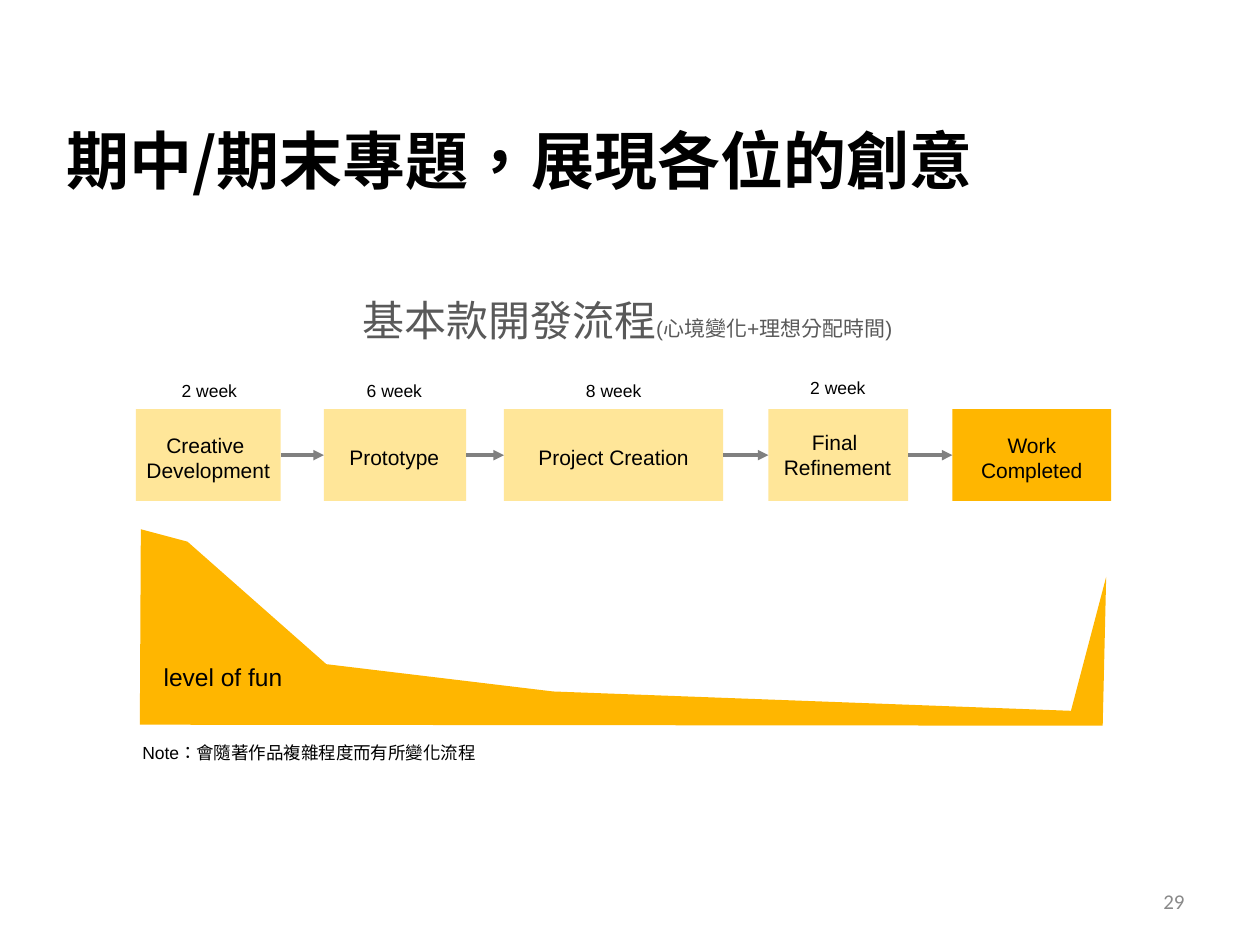
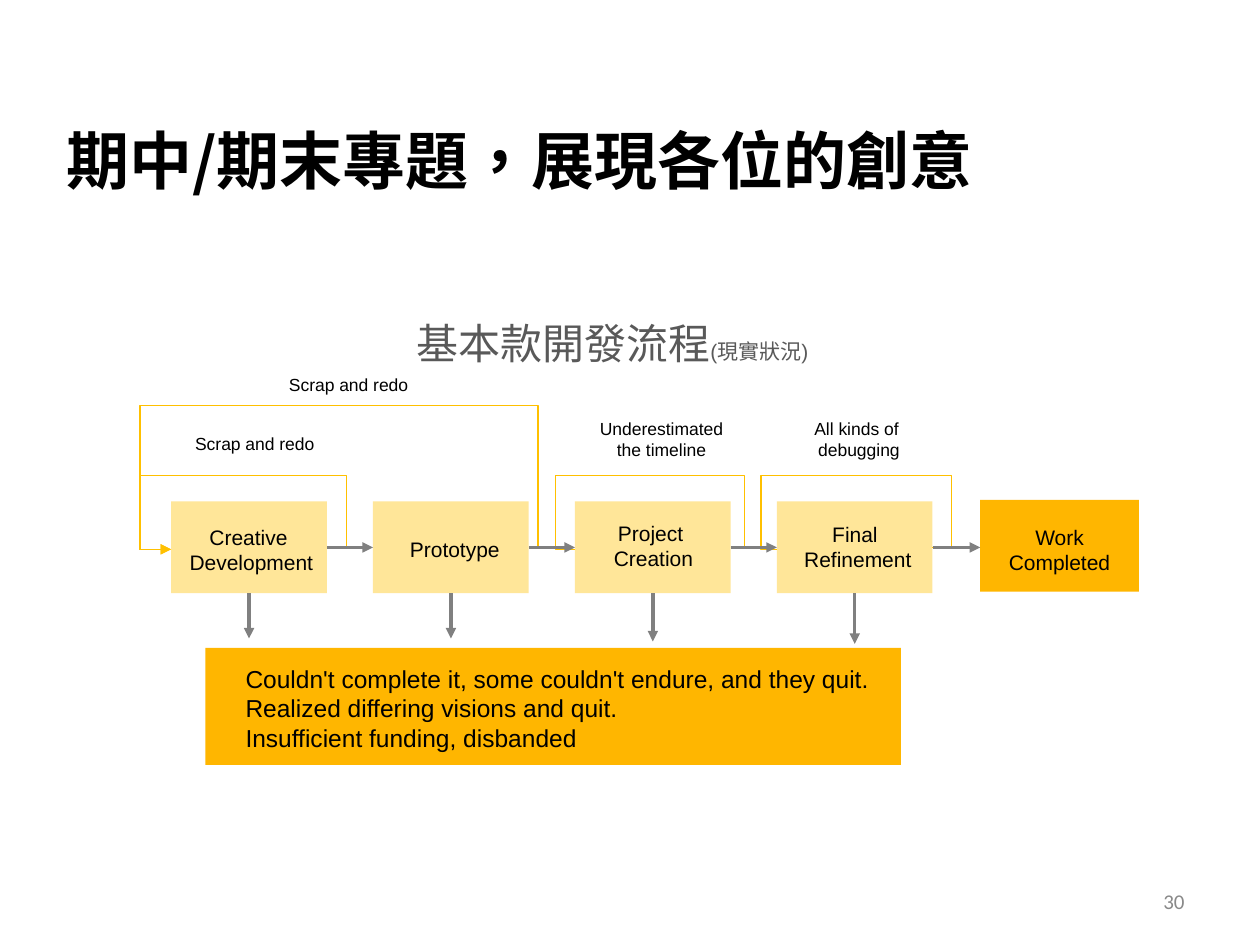
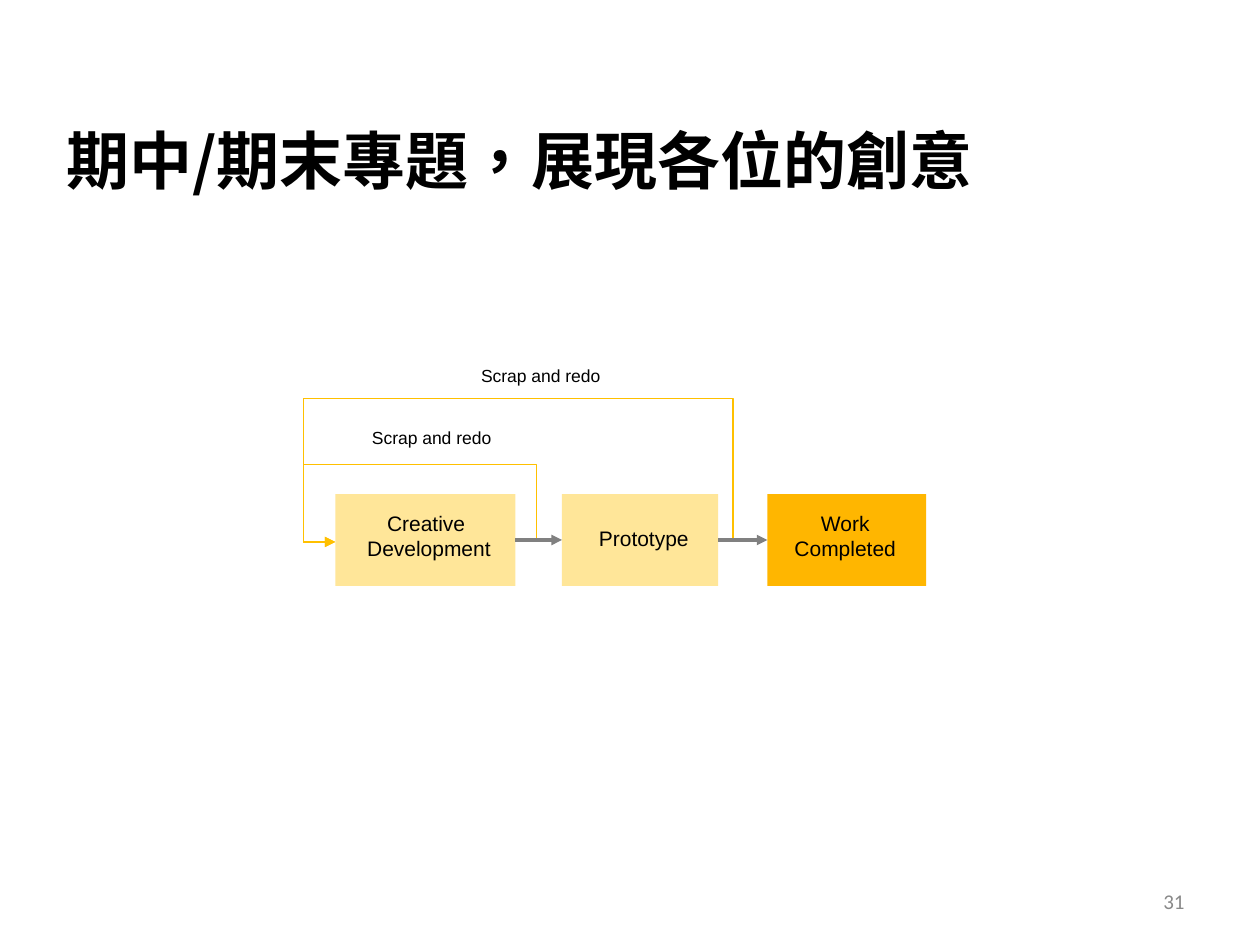
from lxml import etree
from pptx import Presentation
from pptx.dml.color import RGBColor
from pptx.enum.shapes import MSO_CONNECTOR, MSO_SHAPE
from pptx.enum.text import MSO_ANCHOR, PP_ALIGN
from pptx.oxml.ns import qn
from pptx.util import Cm, Pt

STRAIGHT, ELBOW = MSO_CONNECTOR.STRAIGHT, MSO_CONNECTOR.ELBOW
RECT = MSO_SHAPE.RECTANGLE
LEFT, CENTER, RIGHT = PP_ALIGN.LEFT, PP_ALIGN.CENTER, PP_ALIGN.RIGHT
TOP, MIDDLE = MSO_ANCHOR.TOP, MSO_ANCHOR.MIDDLE

BLACK, GREY, PAGE_GREY, ARROW_GREY = "000000", "595959", "898989", "808080"
STEP_FILL, DONE_FILL, LOOP_GOLD = "FFE699", "FFB600", "FFC000"
CJK_FONT = "Noto Sans CJK SC"
STEP_H, LOOP_DROP = 1.85, 0.04

TITLE = "期中/期末專題，展現各位的創意"
SUBTITLE = "基本款開發流程"
DONE = "Work Completed"
LABEL_WIDTHS = {
    "Creative \nDevelopment": 3.02,
    "Prototype": 2.34,
    "Project Creation": 3.56,
    "Project \nCreation": 2.11,
    "Final \nRefinement": 2.69,
    DONE: 3.0,
}
CREATIVE, PROTOTYPE, PROJECT, PROJECT_2, FINAL, _ = LABEL_WIDTHS

# steps: label, left, top, width, label left, label top
IDEAL_TOP, REAL_TOP, SHORT_TOP = 8.25, 10.11, 9.96
IDEAL_STEPS = [
    (CREATIVE, 2.74, IDEAL_TOP, 2.92, 2.69, 8.59),
    (PROTOTYPE, 6.53, IDEAL_TOP, 2.87, 6.78, 8.84),
    (PROJECT, 10.16, IDEAL_TOP, 4.42, 10.59, 8.84),
    (FINAL, 15.49, IDEAL_TOP, 2.82, 15.54, 8.53),
    (DONE, 19.2, IDEAL_TOP, 3.2, 19.3, 8.59),
]
WEEKS = [("2 week", 3.05, 7.54, 2.34, 0.69), ("6 week", 6.78, 7.54, 2.34, 0.69),
         ("8 week", 11.2, 7.54, 2.34, 0.69), ("2 week", 15.72, 7.47, 2.34, 1.12)]
FUN_CURVE = [(2.84, 10.67), (2.82, 14.61), (22.23, 14.63), (22.3, 11.63),
             (21.59, 14.33), (11.15, 13.94), (6.58, 13.39), (3.78, 10.92)]

REAL_LABELS = [(CREATIVE, 3.56, 10.44), (PROTOTYPE, 8.0, 10.69),
               (PROJECT_2, 12.12, 10.36), (FINAL, 15.95, 10.39)]
REAL_STEPS = [(label, 3.45 + 4.07 * i, REAL_TOP, 3.14, x, y)
              for i, (label, x, y) in enumerate(REAL_LABELS)]
REAL_STEPS.append((DONE, 19.76, 10.08, 3.2, 19.86, 10.44))
REAL_LOOPS = [(0, 0, 6.99, 9.58, 2.82), (1, 0, 10.85, 8.18, 2.82),
              (2, 2, 15.01, 9.58, 11.2), (3, 3, 19.18, 9.58, 15.34)]
REAL_NOTES = [("Scrap and redo", 3.56, 8.61, 3.15, 0.69),
              ("Scrap and redo ", 5.41, 7.42, 3.33, 0.69),
              ("Underestimated the timeline", 11.76, 8.31, 3.15, 1.12),
              ("All kinds of \ndebugging", 15.65, 8.31, 3.33, 1.12)]
QUIT_ARROW_LENGTHS = [0.91, 0.91, 0.97, 1.02]
QUIT_REASONS = ("Couldn't complete it, some couldn't endure, and they quit.\n"
                "Realized differing visions and quit.\n"
                "Insufficient funding, disbanded")

SHORT_STEPS = [
    (CREATIVE, 6.76, SHORT_TOP, 3.63, 7.14, 10.16),
    (PROTOTYPE, 11.33, SHORT_TOP, 3.15, 11.81, 10.46),
    (DONE, 15.47, SHORT_TOP, 3.2, 15.54, 10.16),
]
SHORT_LOOPS = [(0, 0, 10.82, 9.37, 6.12), (1, 0, 14.78, 8.03, 6.12)]
SHORT_NOTES = [("Scrap and redo", 7.06, 8.48, 3.28, 0.69),
               ("Scrap and redo", 9.25, 7.24, 3.3, 0.69)]


def rgb(value):
    return RGBColor.from_string(value)


def add_run(p, text, size=None):
    r = p.add_run()
    r.text = text
    if size:
        r.font.size = Pt(size)
    rPr = r._r.get_or_add_rPr()
    rPr.set("lang", "zh-TW")
    etree.SubElement(rPr, qn("a:ea")).set("typeface", CJK_FONT)


def add_text(s, text, x, y, w, h, size, color=BLACK, align=LEFT, font="Arial",
             bold=False, spacing=None, wrap=True, anchor=TOP, suffix=None):
    tf = s.shapes.add_textbox(Cm(x), Cm(y), Cm(w), Cm(h)).text_frame
    tf.word_wrap = wrap
    tf.vertical_anchor = anchor
    for i, line in enumerate(text.split("\n")):
        p = tf.add_paragraph() if i else tf.paragraphs[0]
        p.alignment = align
        p.line_spacing = spacing
        p.font.name, p.font.size, p.font.bold = font, Pt(size), bold
        p.font.color.rgb = rgb(color)
        add_run(p, line)
        if suffix:
            add_run(p, suffix, 12)


def paint(sp, fill):
    sp.shadow.inherit = False
    sp.fill.solid()
    sp.fill.fore_color.rgb = rgb(fill)
    sp.line.fill.background()


def add_box(s, x, y, w, h, fill):
    paint(s.shapes.add_shape(RECT, Cm(x), Cm(y), Cm(w), Cm(h)), fill)


def add_line(s, kind, x1, y1, x2, y2, color, width, arrow=True):
    c = s.shapes.add_connector(kind, Cm(x1), Cm(y1), Cm(x2), Cm(y2))
    c.line.color.rgb = rgb(color)
    c.line.width = Pt(width)
    if arrow:
        etree.SubElement(c.line._get_or_add_ln(), qn("a:tailEnd")).set("type", "triangle")
    etree.SubElement(c._element.spPr, qn("a:effectLst"))
    return c


def add_arrow(s, x1, y1, x2, y2):
    add_line(s, STRAIGHT, x1, y1, x2, y2, ARROW_GREY, 2)


def add_loop(s, steps, source, target, out_x, peak_y, back_x):
    _, left, top, width, *_ = steps[source]
    start, y, end = left + width, top + STEP_H / 2, steps[target][1]
    c = add_line(s, ELBOW, start, y, end, y + LOOP_DROP, LOOP_GOLD, 0.75, target == 0)
    geom = c._element.spPr.find(qn("a:prstGeom"))
    geom.set("prst", "bentConnector5")
    guides = geom.find(qn("a:avLst"))
    if guides is None:
        guides = etree.SubElement(geom, qn("a:avLst"))
    span = start - end
    ratios = ((start - out_x) / span, (peak_y - y) / LOOP_DROP, (start - back_x) / span)
    for i, ratio in enumerate(ratios, 1):
        gd = etree.SubElement(guides, qn("a:gd"))
        gd.set("name", f"adj{i}")
        gd.set("fmla", f"val {round(ratio * 100000)}")


def add_flow(s, steps, loops=(), notes=()):
    for label, x, y, w, label_x, label_y in steps:
        add_box(s, x, y, w, STEP_H, DONE_FILL if label == DONE else STEP_FILL)
        h = 1.27 if "\n" in label or label == DONE else 0.76
        add_text(s, label, label_x, label_y, LABEL_WIDTHS[label], h, 12,
                 align=CENTER, wrap=label == DONE)
    for loop in loops:
        add_loop(s, steps, *loop)
    for (_, x, y, w, *_), following in zip(steps, steps[1:]):
        mid = y + STEP_H / 2
        add_arrow(s, x + w, mid, following[1], mid)
    for note in notes:
        add_text(s, *note, 10, align=CENTER)


def add_slide(prs, number):
    s = prs.slides.add_slide(prs.slide_layouts[6])
    add_text(s, TITLE, 1.09, 1.57, 22.86, 2.57, 36, font=CJK_FONT, bold=True, spacing=1.5)
    add_text(s, str(number), 18.21, 17.65, 5.92, 1.02, 12, PAGE_GREY, RIGHT,
             "Calibri", anchor=MIDDLE)
    return s


def add_subtitle(s, suffix, x, y, h):
    add_text(s, SUBTITLE, x, y, 18.03, h, 24, GREY, CENTER, spacing=1.5, suffix=suffix)


def ideal_slide(prs):
    s = add_slide(prs, 29)
    add_subtitle(s, "(心境變化+理想分配時間)", 3.63, 5.31, 1.6)
    add_flow(s, IDEAL_STEPS, notes=WEEKS)
    points = [(Cm(x), Cm(y)) for x, y in FUN_CURVE]
    builder = s.shapes.build_freeform(*points[0])
    builder.add_line_segments(points[1:])
    paint(builder.convert_to_shape(), DONE_FILL)
    add_text(s, "level of fun", 3.05, 13.23, 2.92, 0.86, 14, wrap=False)
    add_text(s, "Note：會隨著作品複雜程度而有所變化流程", 2.62, 14.83, 10.87, 0.69, 10)


def real_slide(prs):
    s = add_slide(prs, 30)
    add_subtitle(s, "(現實狀況)", 3.33, 5.77, 1.8)
    add_flow(s, REAL_STEPS, REAL_LOOPS, REAL_NOTES)
    add_box(s, 4.14, 13.06, 14.02, 2.36, DONE_FILL)
    add_text(s, QUIT_REASONS, 4.7, 13.26, 13.28, 2.06, 14)
    for (_, x, y, w, *_), length in zip(REAL_STEPS, QUIT_ARROW_LENGTHS):
        bottom = y + STEP_H
        add_arrow(s, x + w / 2, bottom, x + w / 2, bottom + length)


def short_slide(prs):
    s = add_slide(prs, 31)
    add_flow(s, SHORT_STEPS, SHORT_LOOPS, SHORT_NOTES)


def main():
    prs = Presentation()
    prs.slide_width, prs.slide_height = Cm(25.4), Cm(19.05)
    ideal_slide(prs)
    real_slide(prs)
    short_slide(prs)
    prs.save("out.pptx")


if __name__ == "__main__":
    main()
